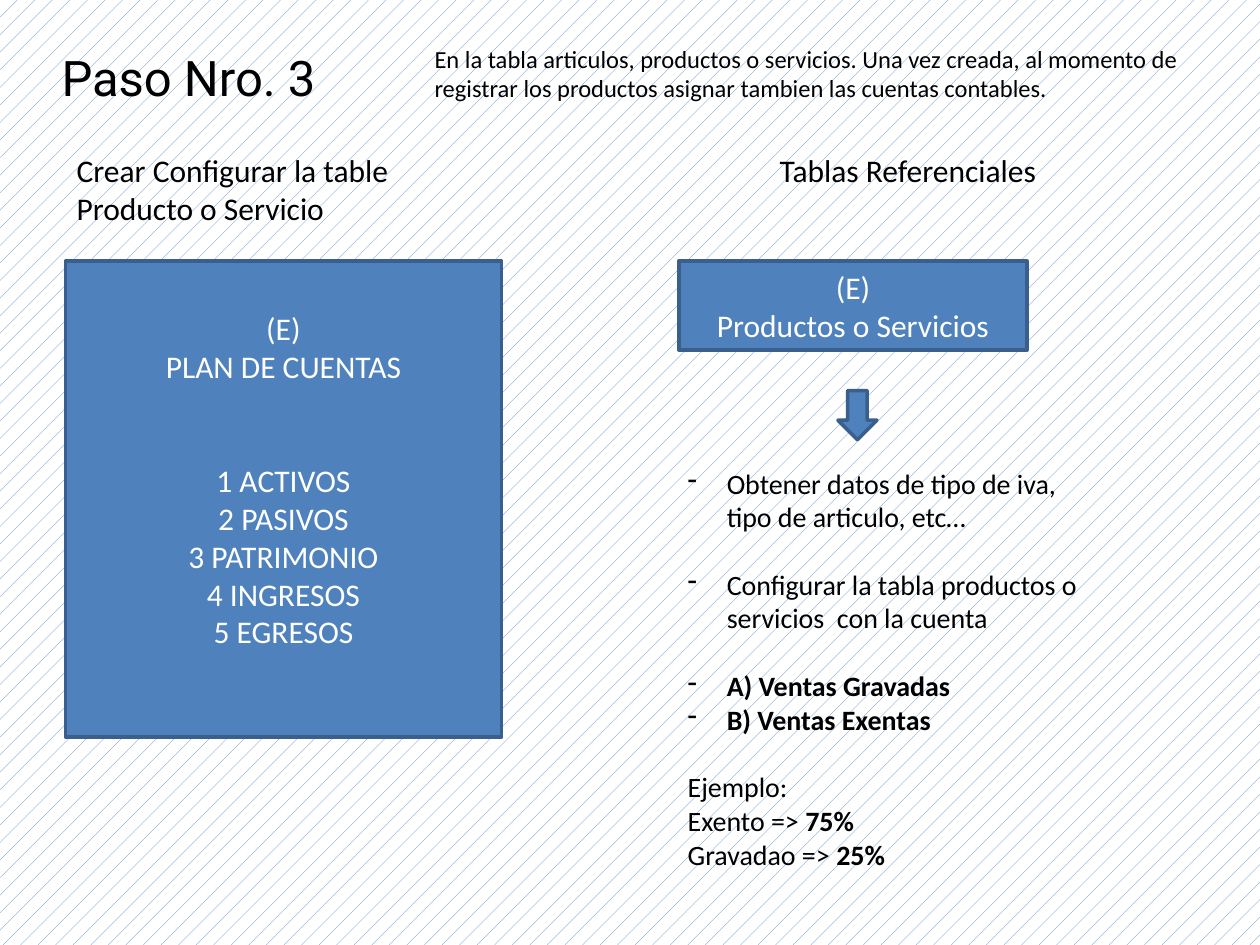
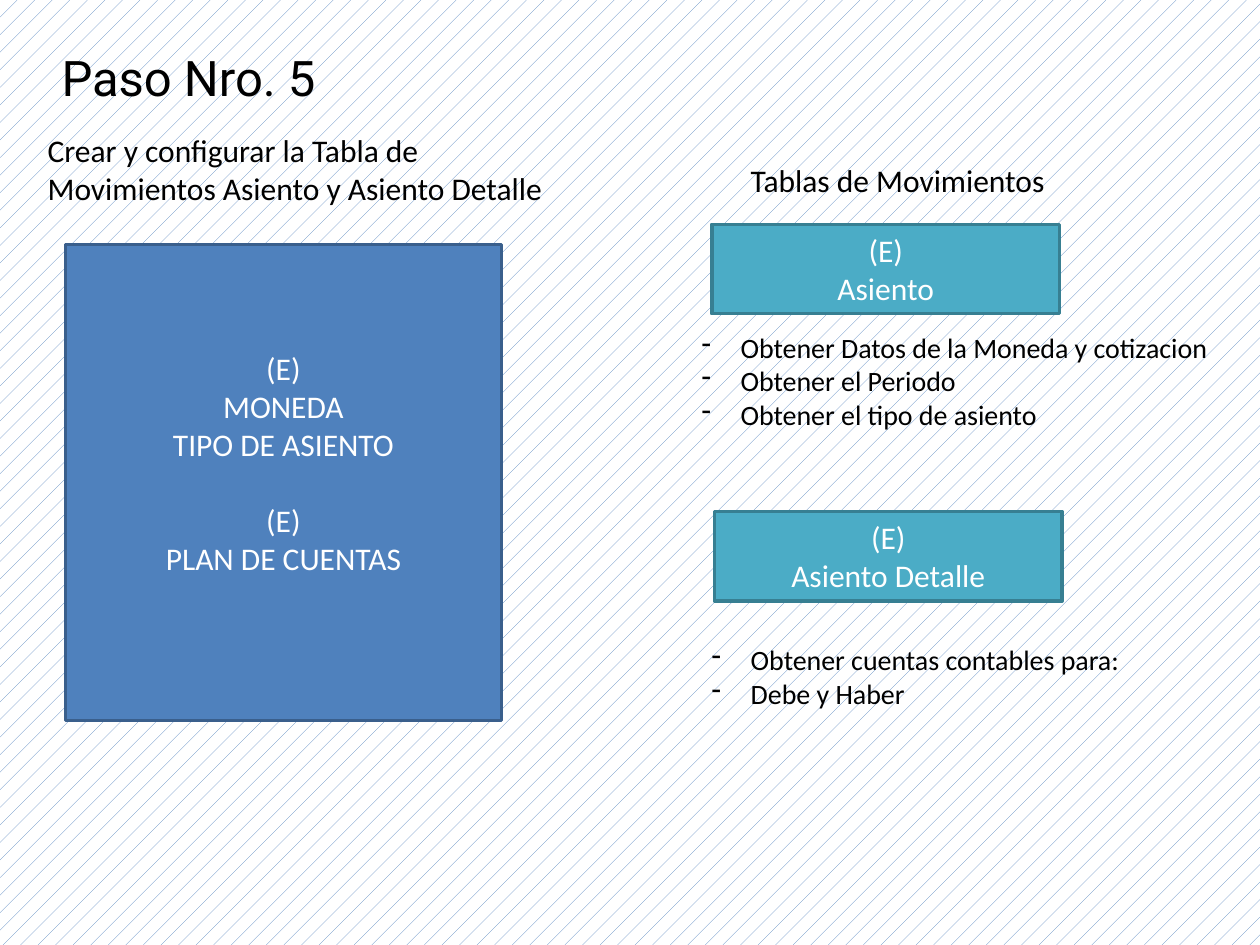
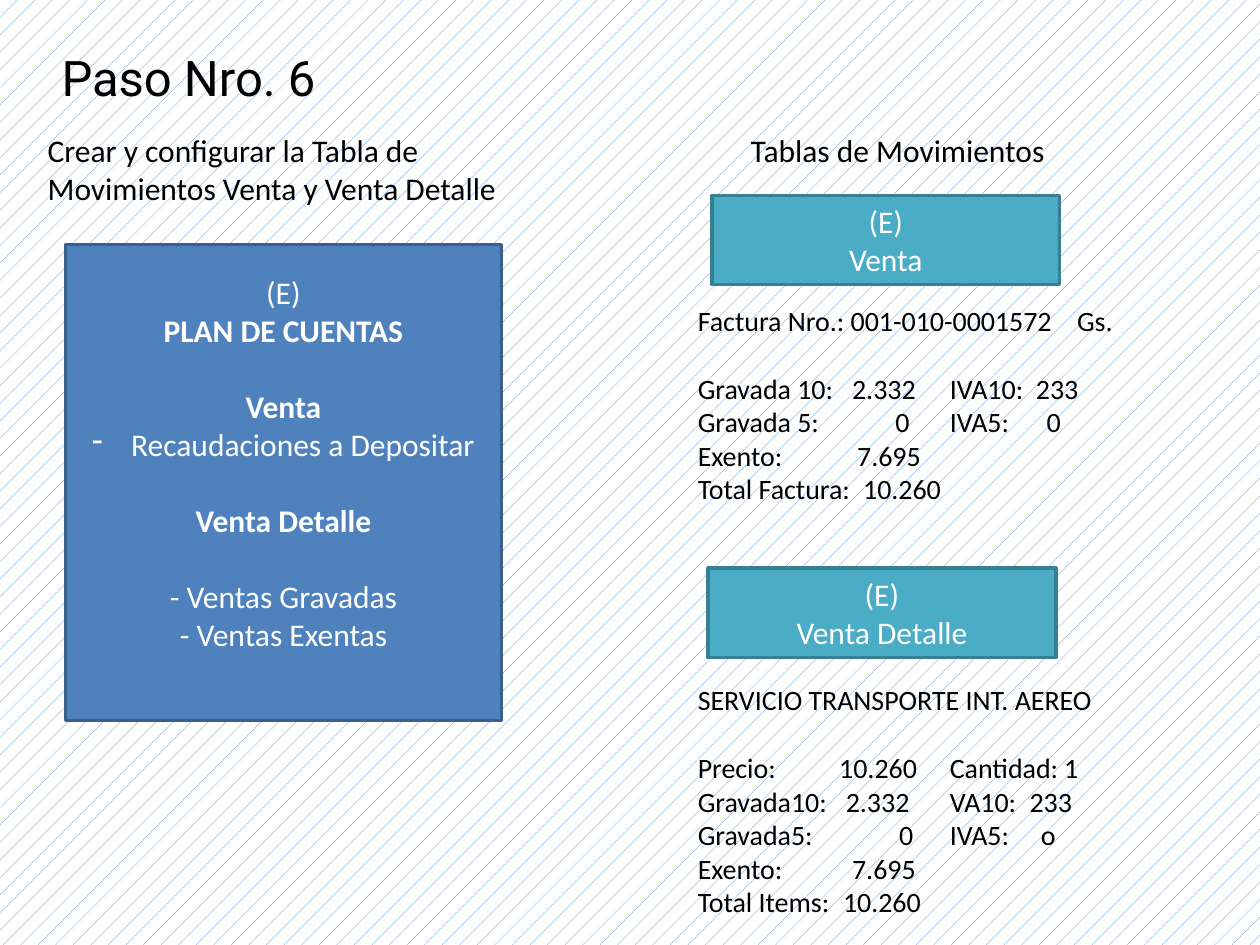
from dataclasses import dataclass

from lxml.etree import SubElement
from pptx import Presentation
from pptx.dml.color import RGBColor as Color
from pptx.enum.dml import MSO_PATTERN as Pattern
from pptx.enum.shapes import MSO_SHAPE as Preset
from pptx.enum.text import MSO_ANCHOR as Anchor
from pptx.enum.text import MSO_AUTO_SIZE as AutoSize
from pptx.enum.text import PP_ALIGN as Align
from pptx.oxml.ns import qn
from pptx.util import Inches, Pt


@dataclass(frozen=True)
class Theme:
    black: str = "000000"
    white: str = "FFFFFF"
    blue: tuple = ("4F81BD", "3A5F8C")  # fill, outline
    teal: tuple = ("4BACC6", "377F92")
    body_font: str = "Calibri"
    title_font: str = "Roboto"
    title: int = 28
    heading: int = 18
    notes: int = 16
    intro: int = 14
    outline: int = 2
    indent: float = 0.31
    line_height: float = 1.22


THEME = Theme()


@dataclass(frozen=True)
class Box:
    left: float
    top: float
    width: float
    height: float

    def offset(self, across, down, width, height):
        return Box(self.left + across, self.top + down, width, height)

    def lengths(self):
        return [Inches(n) for n in (self.left, self.top, self.width, self.height)]


@dataclass(frozen=True)
class Line:
    """One paragraph; *stars* mark bold, gap counts empty lines above."""
    text: str
    gap: int = 0
    bullet: bool = False
    tabs: tuple = ()


# Text and shapes

def write(frame, lines, *, size=THEME.notes, color=THEME.black,
          font=THEME.body_font, align=Align.LEFT):
    frame.word_wrap = True
    for index, item in enumerate(lines):
        line = item if isinstance(item, Line) else Line(item)
        para = frame.add_paragraph() if index else frame.paragraphs[0]
        para.alignment = align
        para.space_before = Pt(round(line.gap * size * THEME.line_height, 1))
        for order, piece in enumerate(line.text.split("*")):
            if piece:
                span = para.add_run()
                span.text = piece
                span.font.size, span.font.name = Pt(size), font
                span.font.bold = order % 2 == 1
                span.font.color.rgb = Color.from_string(color)
        properties = para._p.get_or_add_pPr()
        if line.bullet:
            properties.set("marL", str(Inches(THEME.indent)))
            properties.set("indent", str(-Inches(THEME.indent)))
            SubElement(properties, qn("a:buChar"), char="-")
        if line.tabs:
            stops = SubElement(properties, qn("a:tabLst"))
            for position, side in line.tabs:
                SubElement(stops, qn("a:tab"), pos=str(Inches(position)), algn=side)


def add_text(page, box, lines, **style):
    frame = page.shapes.add_textbox(*box.lengths()).text_frame
    write(frame, lines, **style)
    frame.auto_size = AutoSize.SHAPE_TO_FIT_TEXT


def add_block(page, box, colors, lines=(), preset=Preset.RECTANGLE):
    block = page.shapes.add_shape(preset, *box.lengths())
    block.shadow.inherit = False
    block.fill.solid()
    block.fill.fore_color.rgb = Color.from_string(colors[0])
    block.line.color.rgb = Color.from_string(colors[1])
    block.line.width = Pt(THEME.outline)
    block.text_frame.vertical_anchor = Anchor.MIDDLE
    write(block.text_frame, lines, size=THEME.heading, color=THEME.white,
          align=Align.CENTER)
    return block


# Regions

def add_step(deck, number):
    page = deck.slides.add_slide(deck.slide_layouts[6])
    add_text(page, Box(0.39, 0.33, 2.96, 0.57), [f"Paso Nro. {number}"],
             size=THEME.title, font=THEME.title_font)
    return page


def accounts_panel(page, box, heading, heading_box, lines):
    block = add_block(page, box, THEME.blue, lines)
    # Lift the centred text by half a line
    block.text_frame.margin_bottom = Inches(0.36)
    add_text(page, heading_box, [heading], size=THEME.heading)


def caption(page, box, text):
    add_text(page, box, [text], size=THEME.heading, align=Align.CENTER)


def entity(page, box, name, notes, notes_box, colors=THEME.teal):
    add_block(page, box, colors, ["(E)", name])
    add_text(page, notes_box, notes)


def amounts(label, value, value_end, tax="", tax_end=None, gap=0):
    """Label, right-aligned value and an optional second column."""
    tabs = [(value_end, "r")]
    text = f"{label}\t{value}"
    if tax:
        text += f"\t{tax}"
        tabs += [(2, "l"), (tax_end, "r")]
    return Line(text, gap=gap, tabs=tuple(tabs))


def bullets(*texts):
    return [Line(text, bullet=True) for text in texts]


# Slides

def products_step(deck):
    page = add_step(deck, 3)
    panel = Box(0.52, 2.07, 3.46, 3.78)
    accounts_panel(
        page, panel, "Crear Configurar la table Producto o Servicio",
        panel.offset(-0.01, -0.92, 3.15, 0.71),
        ["(E)", "PLAN DE CUENTAS", Line("1 ACTIVOS", gap=2), "2 PASIVOS",
         "3 PATRIMONIO", "4 INGRESOS", "5 EGRESOS"])
    caption(page, Box(5.71, 1.15, 2.99, 0.4), "Tablas Referenciales")
    box = Box(5.39, 2.07, 2.76, 0.71)
    notes = [
        Line("Obtener datos de tipo de iva, tipo de articulo, etc…", bullet=True),
        Line("Configurar la tabla productos o servicios  con la cuenta",
             gap=1, bullet=True),
        Line("*A) Ventas Gravadas*", gap=1, bullet=True),
        Line("*B) Ventas Exentas*", bullet=True),
        Line("Ejemplo:", gap=1),
        "Exento => *75%*",
        "Gravadao => *25%*",
    ]
    entity(page, box, "Productos o Servicios", notes,
           box.offset(-0.03, 1.58, 3.35, 3.33), THEME.blue)
    add_block(page, box.offset(1.26, 1.03, 0.31, 0.39), THEME.blue,
              preset=Preset.DOWN_ARROW)
    add_text(page, Box(3.35, 0.3, 6.61, 0.57), [
        "En la tabla articulos, productos o servicios. Una vez creada, al momento "
        "de registrar los productos asignar tambien las cuentas contables."],
        size=THEME.intro)


def entries_step(deck):
    page = add_step(deck, 5)
    panel = Box(0.52, 1.94, 3.46, 3.78)
    accounts_panel(
        page, panel,
        "Crear y configurar la Tabla de Movimientos Asiento y Asiento Detalle",
        panel.offset(-0.24, -0.95, 4.17, 0.71),
        ["(E)", "MONEDA", "TIPO DE ASIENTO", Line("(E)", gap=1), "PLAN DE CUENTAS"])
    caption(page, Box(5.71, 1.23, 2.83, 0.4), "Tablas de Movimientos")
    entry = Box(5.65, 1.78, 2.76, 0.71)
    entity(page, entry, "Asiento",
           bullets("Obtener Datos de la Moneda y cotizacion",
                   "Obtener el Periodo", "Obtener el tipo de asiento"),
           entry.offset(-0.18, 0.79, 4.41, 0.91))
    detail = entry.offset(0.02, 2.28, 2.76, 0.71)
    entity(page, detail, "Asiento Detalle",
           bullets("Obtener cuentas contables para:", "Debe y Haber"),
           detail.offset(-0.12, 0.99, 4.02, 0.64))


def sales_step(deck):
    page = add_step(deck, 6)
    panel = Box(0.52, 1.94, 3.46, 3.78)
    accounts_panel(
        page, panel,
        "Crear y configurar la Tabla de Movimientos Venta y Venta Detalle",
        panel.offset(-0.24, -0.95, 3.87, 0.71),
        ["(E)", "*PLAN DE CUENTAS*", Line("*Venta*", gap=1),
         Line("Recaudaciones a Depositar", bullet=True),
         Line("*Venta Detalle*", gap=1),
         Line("- Ventas Gravadas", gap=1), "- Ventas Exentas"])
    caption(page, Box(5.71, 0.99, 2.83, 0.4), "Tablas de Movimientos")
    sale = Box(5.65, 1.55, 2.76, 0.71)
    invoice = [
        Line("Factura Nro.: 001-010-0001572\tGs.", tabs=((3.01, "l"),)),
        amounts("Gravada 10:", "2.332", 1.73, "IVA10:\t233", 3.02, gap=1),
        amounts("Gravada 5:", "0", 1.68, "IVA5:\t0", 2.88),
        amounts("Exento:", "7.695", 1.77),
        amounts("Total Factura:", "10.260", 1.93),
    ]
    entity(page, sale, "Venta", invoice, sale.offset(-0.21, 0.81, 4.33, 1.72))
    detail = sale.offset(-0.03, 2.96, 2.76, 0.71)
    items = [
        "SERVICIO TRANSPORTE INT. AEREO",
        amounts("Precio:", "10.260", 1.74, "Cantidad:\t1", 3.02, gap=1),
        amounts("Gravada10:", "2.332", 1.68, "VA10:\t233", 2.97),
        amounts("Gravada5:", "0", 1.71, "IVA5:\to", 2.84),
        amounts("Exento:", "7.695", 1.73),
        amounts("Total Items:", "10.260", 1.77),
    ]
    entity(page, detail, "Venta Detalle", items,
           detail.offset(-0.18, 0.86, 4.23, 1.99))


def main():
    deck = Presentation()
    deck.slide_width, deck.slide_height = Inches(10), Inches(7.5)
    # Shared patterned background
    fill = deck.slide_master.background.fill
    fill.patterned()
    fill.pattern = Pattern.PERCENT_5
    fill.fore_color.rgb = Color.from_string(THEME.blue[0])
    fill.back_color.rgb = Color.from_string(THEME.white)
    for build in (products_step, entries_step, sales_step):
        build(deck)
    deck.save("out.pptx")


if __name__ == "__main__":
    main()
